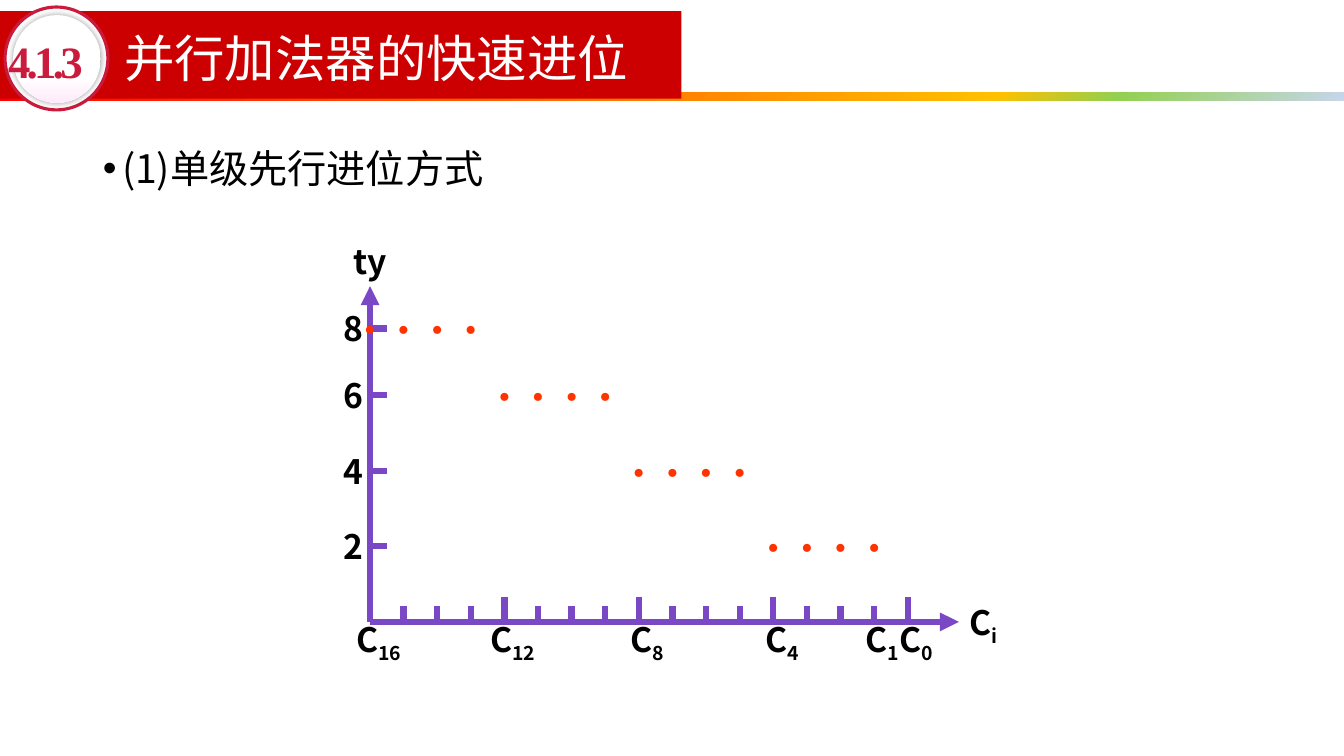
from dataclasses import dataclass

from lxml import etree
from pptx import Presentation
from pptx.dml.color import RGBColor
from pptx.enum.shapes import MSO_CONNECTOR, MSO_SHAPE
from pptx.enum.text import MSO_ANCHOR, MSO_AUTO_SIZE, PP_ALIGN
from pptx.oxml import parse_xml
from pptx.oxml.ns import nsdecls, qn
from pptx.util import Inches, Pt


@dataclass(frozen=True)
class Theme:
    """Colours, fonts and type sizes of the slide."""
    sans: str = "Noto Sans CJK SC"
    serif: str = "Times New Roman"
    white: str = "FFFFFF"
    ink: str = "000000"
    banner: str = "CC0000"
    badge: str = "CB1B3D"
    axis: str = "7A48C4"
    dot: str = "FF3300"
    rainbow: tuple = ((0, "FF0000"), (74, "FFC000"), (83, "92D050"), (100, "C7D5ED"))
    pearl: tuple = ((0, "FFFFFF"), (70, "FFFFFF"), (100, "FFEBFA"))
    title_size: int = 36
    number_size: int = 32
    body_size: int = 28
    label_size: int = 24
    axis_width: float = 4.5


THEME = Theme()


def inches(*lengths):
    """Convert several lengths to Inches."""
    return [Inches(length) for length in lengths]


def style_run(run, font, size, color, bold=False):
    """Format a run, for Latin and East Asian text alike."""
    run.font.name = font
    run.font.size = Pt(size)
    run.font.bold = bold
    run.font.color.rgb = RGBColor.from_string(color)
    east_asian = etree.SubElement(run.font._element, qn("a:ea"))
    east_asian.set("typeface", font)


def add_plain_shape(slide, preset, box, color):
    """Add a filled preset shape without outline or shadow."""
    shape = slide.shapes.add_shape(preset, *inches(*box))
    shape.shadow.inherit = False
    shape.fill.solid()
    shape.fill.fore_color.rgb = RGBColor.from_string(color)
    shape.line.fill.background()
    return shape


def set_gradient(shape, stops, angle):
    """Replace the fill of a shape with a linear gradient."""
    stop_xml = "".join(
        f'<a:gs pos="{position * 1000}"><a:srgbClr val="{color}"/></a:gs>'
        for position, color in stops)
    gradient = parse_xml(
        f'<a:gradFill {nsdecls("a")} rotWithShape="1"><a:gsLst>{stop_xml}</a:gsLst>'
        f'<a:lin ang="{angle * 60000}" scaled="0"/></a:gradFill>')
    properties = shape.element.spPr
    properties.replace(properties.find(qn("a:solidFill")), gradient)


def place_text(placeholder, box, text, anchor):
    """Move a placeholder to the front and into its box, and return its paragraph."""
    placeholder.left, placeholder.top, placeholder.width, placeholder.height = inches(*box)
    placeholder.element.getparent().append(placeholder.element)
    frame = placeholder.text_frame
    frame.text = text
    frame.word_wrap = True
    frame.auto_size = MSO_AUTO_SIZE.NONE
    frame.vertical_anchor = anchor
    return frame.paragraphs[0]


def build_header(slide, box, title, number):
    """Draw the banner, its rainbow rule, the round badge and the title."""
    left, top, width, height = box
    rule = add_plain_shape(slide, MSO_SHAPE.RECTANGLE,
                           (left, top + 0.92, width, 0.08), THEME.white)
    set_gradient(rule, THEME.rainbow, 45)
    add_plain_shape(slide, MSO_SHAPE.RECTANGLE,
                    (left, top + 0.11, 6.76, 0.87), THEME.banner)
    ring = add_plain_shape(slide, MSO_SHAPE.OVAL,
                           (left + 0.05, top + 0.07, 1.02, 1.02), THEME.white)
    ring.line.color.rgb = RGBColor.from_string(THEME.badge)
    ring.line.width = Pt(2.25)
    pearl = add_plain_shape(slide, MSO_SHAPE.OVAL,
                            (left + 0.13, top + 0.15, 0.87, 0.87), THEME.white)
    set_gradient(pearl, THEME.pearl, 90)
    effects = pearl.element.spPr.find(qn("a:effectLst"))
    effects.append(parse_xml(
        f'<a:outerShdw {nsdecls("a")} blurRad="{Pt(5)}" dist="0" dir="0">'
        f'<a:srgbClr val="{THEME.ink}"><a:alpha val="40000"/></a:srgbClr></a:outerShdw>'))

    heading = place_text(slide.shapes.title, (left + 1.13, top + 0.2, 7.44, 0.82),
                         title, MSO_ANCHOR.MIDDLE)
    heading.line_spacing = 0.9
    style_run(heading.runs[0], THEME.sans, THEME.title_size, THEME.white)

    section = slide.placeholders[2]
    numeral = place_text(section, (left + 0.08, top + 0.33, 0.93, 0.54),
                         number, MSO_ANCHOR.MIDDLE)
    frame = section.text_frame
    frame.margin_left = frame.margin_top = frame.margin_right = frame.margin_bottom = 0
    style_run(numeral.runs[0], THEME.serif, THEME.number_size, THEME.badge, True)
    numeral.runs[0].font._element.set("spc", "-270")


def build_body(slide, box, text):
    """Fill the list placeholder with its one bullet."""
    bullet = place_text(slide.placeholders[1], box, text, MSO_ANCHOR.TOP)
    bullet.alignment = PP_ALIGN.JUSTIFY
    bullet.line_spacing = 1.5
    properties = bullet._p.get_or_add_pPr()
    properties.set("marL", str(Inches(0.19)))
    properties.set("indent", str(Inches(-0.19)))
    style_run(bullet.runs[0], THEME.sans, THEME.body_size, THEME.ink)


def add_axis_line(slide, start, end, arrow=False):
    """Draw a stroke of the axes, with an arrowhead if asked."""
    stroke = slide.shapes.add_connector(MSO_CONNECTOR.STRAIGHT, *inches(*start, *end))
    stroke.line.color.rgb = RGBColor.from_string(THEME.axis)
    stroke.line.width = Pt(THEME.axis_width)
    if arrow:
        etree.SubElement(stroke.line._get_or_add_ln(), qn("a:tailEnd")).set("type", "triangle")
    etree.SubElement(stroke.element.spPr, qn("a:effectLst"))


def add_label(slide, center, top, width, text, subscript="", font=THEME.sans,
              color=THEME.ink, bold=True):
    """Add a centred label, with a subscript if given."""
    label = slide.shapes.add_textbox(*inches(center - width / 2, top, width, 0.5))
    frame = label.text_frame
    frame.word_wrap = True
    frame.auto_size = MSO_AUTO_SIZE.SHAPE_TO_FIT_TEXT
    paragraph = frame.paragraphs[0]
    paragraph.text = text
    paragraph.alignment = PP_ALIGN.CENTER
    if subscript:
        lowered = paragraph.add_run()
        lowered.text = subscript
        lowered.font._element.set("baseline", "-25000")
    for run in paragraph.runs:
        style_run(run, font, THEME.label_size, color, bold)


def build_delay_plot(slide, box):
    """Plot the delay ty of each carry Ci on hand-drawn axes."""
    left, top, width, height = box
    base = top + height
    step = 1 / 3
    carries, group = 16, 4
    levels = {8: 2.91, 6: 2.25, 4: 1.5, 2: 0.75}

    add_axis_line(slide, (left, base), (left + width, base), arrow=True)
    add_axis_line(slide, (left, base), (left, top), arrow=True)
    for index in range(1, carries + 1):
        x = left + index * step
        tick = 0.16 if index % group else 0.25
        add_axis_line(slide, (x, base - tick), (x, base))
    for carry in (16, 12, 8, 4, 1, 0):
        x = left + (carries - carry) * step
        add_label(slide, x + 0.085, base - 0.08, 1.17, "C", str(carry))
    add_label(slide, left + width + 0.245, base - 0.25, 1.17, "C", "i")
    add_label(slide, left, top - 0.5, 1.17, "ty")

    for row, (delay, rise) in enumerate(levels.items()):
        y = base - rise
        add_axis_line(slide, (left, y), (left + 0.17, y))
        add_label(slide, left - 0.16, y - 0.25, 0.5, str(delay))
        for index in range(row * group, (row + 1) * group):
            add_label(slide, left + index * step, y - 0.25, 0.83, "•",
                      font=THEME.serif, color=THEME.dot, bold=False)


def main():
    """Build the slide and save it."""
    deck = Presentation()
    deck.slide_width, deck.slide_height = inches(13.33, 7.5)
    slide = deck.slides.add_slide(deck.slide_layouts[7])
    build_header(slide, (0, 0, 13.33, 1.09), "并行加法器的快速进位", "4.1.3")
    build_body(slide, (0.92, 1.15, 11.5, 5.44), "(1)单级先行进位方式")
    build_delay_plot(slide, (3.67, 2.84, 5.84, 3.33))
    deck.save("out.pptx")


if __name__ == "__main__":
    main()
